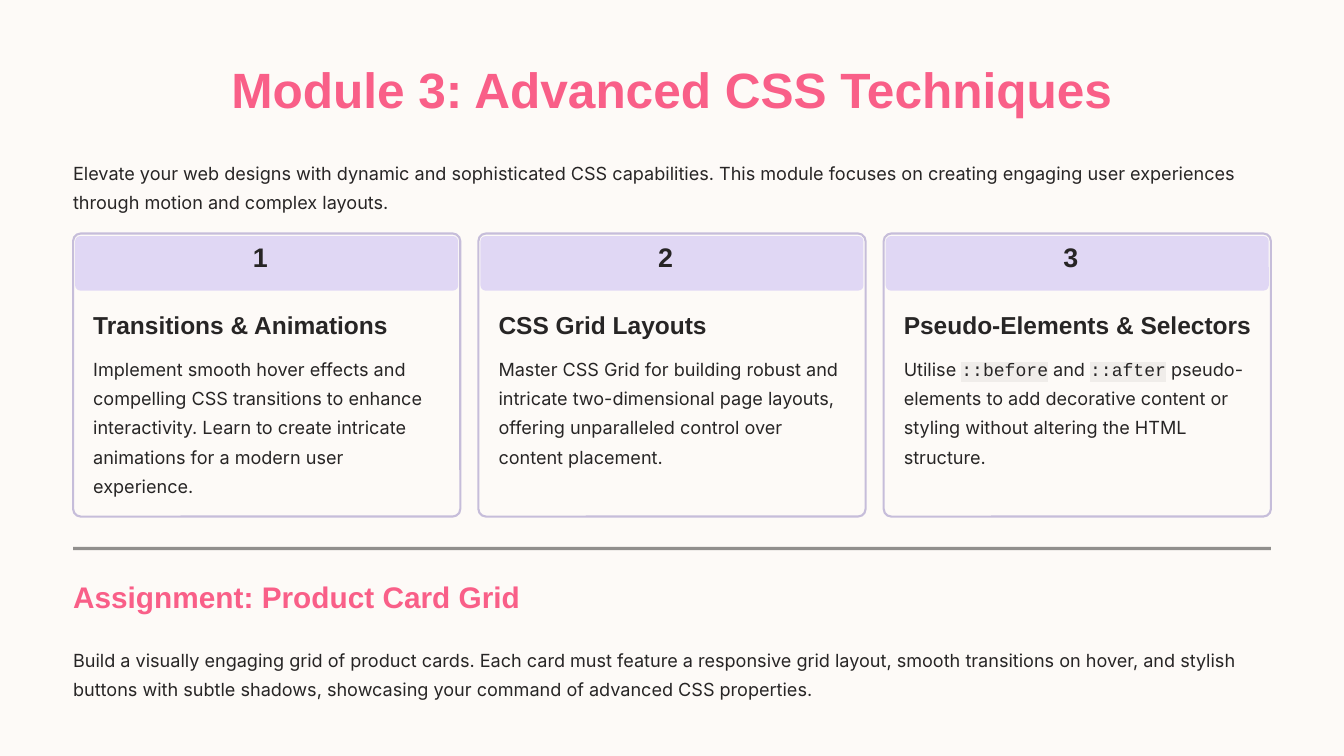
from dataclasses import dataclass

from lxml.etree import SubElement
from pptx import Presentation
from pptx.dml.color import RGBColor
from pptx.enum.shapes import MSO_SHAPE
from pptx.enum.text import MSO_ANCHOR, PP_ALIGN
from pptx.oxml.ns import qn
from pptx.util import Inches, Pt


@dataclass(frozen=True)
class TextStyle:
    font: str
    size: float
    spacing: float
    color: str
    bold: bool = True


class Theme:
    background = "FDFAF7"
    ink = "272525"
    pink = "F95F88"
    lilac = "E0D7F4"
    border = "C6BDDA"
    code_fill = "F0EDEA"
    code_font = "Courier New"
    title = TextStyle("Arial", 42.5, 53.5, pink)
    section = TextStyle("Arial", 25.5, 32, pink)
    number = TextStyle("Arial", 23, 23, ink)
    heading = TextStyle("Arial", 21, 26.5, ink)
    body = TextStyle("Inter", 15.5, 25, ink, bold=False)


def write(box, text, style, align=PP_ALIGN.LEFT):
    """Fill a box with one paragraph; text between backticks is set as code."""
    frame = box.text_frame
    frame.margin_left = frame.margin_right = 0
    frame.margin_top = frame.margin_bottom = 0
    frame.word_wrap = True
    frame.vertical_anchor = MSO_ANCHOR.TOP
    para = frame.paragraphs[0]
    para.alignment = align
    para.line_spacing = Pt(style.spacing)
    para.font.name = style.font
    para.font.size = Pt(style.size)
    para.font.bold = style.bold
    para.font.color.rgb = RGBColor.from_string(style.color)
    for index, part in enumerate(text.split("`")):
        span = para.add_run()
        span.text = part
        if index % 2:
            properties = span.font._element
            highlight = SubElement(properties, qn("a:highlight"))
            SubElement(highlight, qn("a:srgbClr"), val=Theme.code_fill)
            span.font.name = Theme.code_font


def add_panel(preset, left, top, width, height, fill=None, line=None, radius=None):
    panel = shapes.add_shape(
        preset, Inches(left), Inches(top), Inches(width), Inches(height))
    panel.shadow.inherit = False
    if radius is not None:
        panel.adjustments[0] = radius
    if fill:
        panel.fill.solid()
        panel.fill.fore_color.rgb = RGBColor.from_string(fill)
    else:
        panel.fill.background()
    if line:
        panel.line.color.rgb = RGBColor.from_string(line)
        panel.line.width = Pt(1.8)
    else:
        panel.line.fill.background()
    return panel


deck = Presentation()
deck.slide_width, deck.slide_height = Inches(16), Inches(9)
page = deck.slides.add_slide(deck.slide_layouts[5])
page.background.fill.solid()
page.background.fill.fore_color.rgb = RGBColor.from_string(Theme.background)
shapes = page.shapes

margin, content_width = 0.87, 14.26

title = shapes.title
title.left, title.top = Inches(2.5), Inches(0.67)
title.width, title.height = Inches(11), Inches(0.75)
write(title, "Module 3: Advanced CSS Techniques", Theme.title, PP_ALIGN.CENTER)

intro = shapes.add_textbox(
    Inches(margin), Inches(1.84), Inches(content_width), Inches(0.69))
write(intro, "Elevate your web designs with dynamic and sophisticated CSS "
      "capabilities. This module focuses on creating engaging user experiences "
      "through motion and complex layouts.", Theme.body)

cards = [
    ("Transitions & Animations",
     "Implement smooth hover effects and compelling CSS transitions to enhance "
     "interactivity. Learn to create intricate animations for a modern user "
     "experience."),
    ("CSS Grid Layouts",
     "Master CSS Grid for building robust and intricate two-dimensional page "
     "layouts, offering unparalleled control over content placement."),
    ("Pseudo-Elements & Selectors",
     "Utilise `::before` and `::after` pseudo-elements to add decorative content "
     "or styling without altering the HTML structure."),
]
card_width = 4.61
card_pitch = (content_width - card_width) / (len(cards) - 1)

for index, (heading, description) in enumerate(cards):
    left = margin + index * card_pitch
    add_panel(MSO_SHAPE.ROUNDED_RECTANGLE, left, 2.78, card_width, 3.37,
              line=Theme.border, radius=0.027)
    add_panel(MSO_SHAPE.ROUNDED_RECTANGLE, left + 0.025, 2.81, 4.56, 0.65,
              fill=Theme.lilac, radius=0.094)
    number_box = shapes.add_textbox(
        Inches(left + 2.14), Inches(2.93), Inches(0.33), Inches(0.41))
    write(number_box, str(index + 1), Theme.number)
    heading_box = shapes.add_textbox(
        Inches(left + 0.24), Inches(3.67), Inches(4.3), Inches(0.37))
    write(heading_box, heading, Theme.heading)
    description_box = shapes.add_textbox(
        Inches(left + 0.24), Inches(4.18), Inches(4.13), Inches(1.74))
    write(description_box, description, Theme.body)

divider = add_panel(MSO_SHAPE.RECTANGLE, margin, 6.51, content_width, 0.04,
                    fill=Theme.ink)
divider_color = divider._element.spPr.find(qn("a:solidFill"))[0]
SubElement(divider_color, qn("a:alpha"), val="50000")

assignment_heading = shapes.add_textbox(
    Inches(margin), Inches(6.87), Inches(6), Inches(0.45))
write(assignment_heading, "Assignment: Product Card Grid", Theme.section)

assignment = shapes.add_textbox(
    Inches(margin), Inches(7.64), Inches(content_width), Inches(0.69))
write(assignment, "Build a visually engaging grid of product cards. Each card must "
      "feature a responsive grid layout, smooth transitions on hover, and stylish "
      "buttons with subtle shadows, showcasing your command of advanced CSS "
      "properties.", Theme.body)

deck.save("out.pptx")
